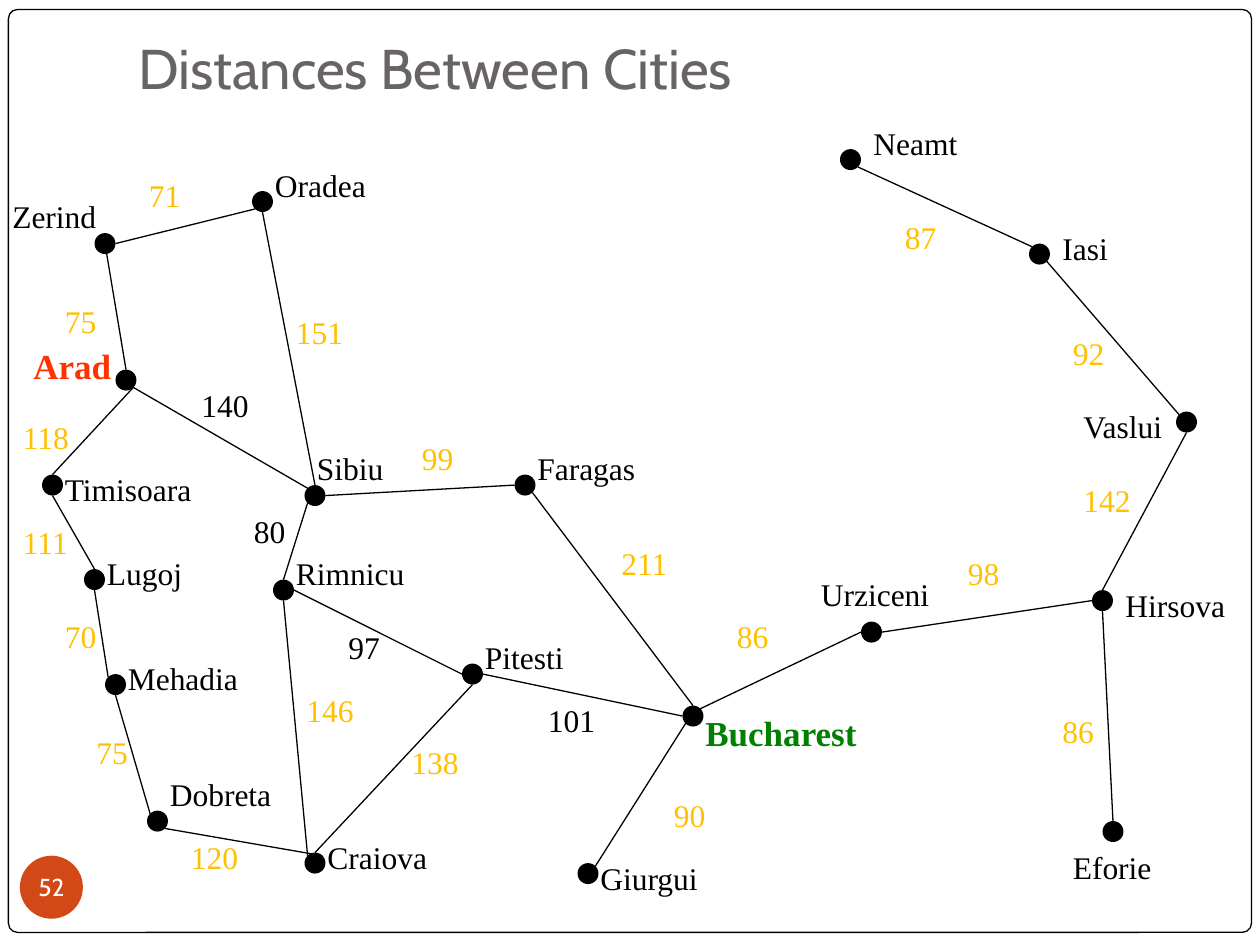
import pptx
import pptx.util
from lxml import etree
from pptx.dml.color import RGBColor
from pptx.enum.shapes import MSO_CONNECTOR, MSO_SHAPE
from pptx.enum.text import MSO_ANCHOR, MSO_AUTO_SIZE, PP_ALIGN
from pptx.oxml.ns import qn

PX = 7620  # EMU per px, 120 px to the inch
BLACK = RGBColor(0x00, 0x00, 0x00)
WHITE = RGBColor(0xFF, 0xFF, 0xFF)
GRAY = RGBColor(0x69, 0x64, 0x64)
RUST = RGBColor(0xD3, 0x48, 0x17)
GOLD = RGBColor(0xFF, 0xC0, 0x00)
RED = RGBColor(0xFF, 0x33, 0x00)
GREEN = RGBColor(0x00, 0x80, 0x00)
SANS = "Cabin"
SERIF = "Times New Roman"

DOT = 20
# Where a road meets a dot, as an offset from its centre
SITES = {
    "C": (0, 0), "N": (0, -10), "S": (0, 10), "E": (10, 0), "W": (-10, 0),
    "NE": (7, -7), "NW": (-7, -7), "SE": (7, 7), "SW": (-7, 7),
}
# City: dot centre, then left, top and width of its label
CITIES = {
    "Neamt": (810, 152, 820, 112, 150),
    "Iasi": (990, 242, 1000, 212, 150),
    "Vaslui": (1130, 402, 1020, 382, 110),
    "Hirsova": (1050, 572, 1060, 552, 120),
    "Eforie": (1060, 792, 1010, 802, 120),
    "Urziceni": (830, 602, 770, 542, 140),
    "Giurgui": (560, 832, 560, 812, 130),
    "Bucharest": (660, 682, 660, 672, 170),
    "Faragas": (500, 462, 500, 422, 130),
    "Pitesti": (450, 642, 450, 602, 110),
    "Rimnicu": (270, 562, 270, 522, 220),
    "Sibiu": (300, 472, 290, 422, 110),
    "Oradea": (250, 192, 250, 152, 150),
    "Zerind": (100, 232, 0, 182, 120),
    "Arad": (120, 362, 20, 322, 100),
    "Timisoara": (50, 462, 50, 442, 150),
    "Lugoj": (90, 552, 90, 522, 120),
    "Mehadia": (110, 652, 110, 622, 130),
    "Dobreta": (150, 782, 150, 732, 130),
    "Craiova": (300, 822, 300, 792, 140),
}
ENDS = {"Arad": RED, "Bucharest": GREEN}
# City and site, city and site, distance, left and top of the label
ROADS = [
    ("Neamt", "SE", "Iasi", "NW", 87, 850, 202),
    ("Iasi", "SE", "Vaslui", "NW", 92, 1010, 312),
    ("Vaslui", "S", "Hirsova", "N", 142, 1020, 452),
    ("Hirsova", "S", "Eforie", "N", 86, 1000, 672),
    ("Urziceni", "E", "Hirsova", "W", 98, 910, 522),
    ("Bucharest", "NE", "Urziceni", "W", 86, 690, 582),
    ("Giurgui", "NE", "Bucharest", "SW", 90, 630, 752),
    ("Faragas", "SE", "Bucharest", "N", 211, 580, 512),
    ("Sibiu", "E", "Faragas", "W", 99, 390, 412),
    ("Sibiu", "N", "Oradea", "S", 151, 270, 292),
    ("Zerind", "E", "Oradea", "SW", 71, 130, 162),
    ("Zerind", "C", "Arad", "N", 75, 50, 282),
    ("Arad", "SE", "Timisoara", "N", 118, 10, 392),
    ("Timisoara", "S", "Lugoj", "N", 111, 10, 492),
    ("Lugoj", "S", "Mehadia", "NW", 70, 50, 582),
    ("Mehadia", "S", "Dobreta", "NW", 75, 80, 692),
    ("Dobreta", "SE", "Craiova", "NE", 120, 170, 792),
    ("Craiova", "N", "Pitesti", "S", 138, 380, 702),
    ("Craiova", "NW", "Rimnicu", "S", 146, 280, 652),
    ("Arad", "SE", "Sibiu", "NW", 140, 180, 362),
    ("Sibiu", "SW", "Rimnicu", "N", 80, 230, 482),
    ("Rimnicu", "E", "Pitesti", "W", 97, 320, 592),
    ("Pitesti", "E", "Bucharest", "W", 101, 510, 662),
]
# Distances on the best route
ROUTE = {140, 80, 97, 101}


def scale(*sides):
    return [side * PX for side in sides]


def add_run(para, text, size, font, color, bold=False):
    run = para.add_run()
    run.text = text
    run.font.size = pptx.util.Pt(size)
    run.font.name = font
    run.font.bold = bold
    run.font.color.rgb = color


def add_shape(slide, kind, box, fill, line=None):
    shape = slide.shapes.add_shape(kind, *scale(*box))
    shape.shadow.inherit = False
    shape.fill.solid()
    shape.fill.fore_color.rgb = fill
    if line is None:
        shape.line.fill.background()
    else:
        shape.line.color.rgb = line
        shape.line.width = pptx.util.Pt(0.75)
    return shape


def add_label(slide, text, box, color, size=18, bold=False):
    frame = slide.shapes.add_textbox(*scale(*box)).text_frame
    frame.word_wrap = True
    add_run(frame.paragraphs[0], text, size, SERIF, color, bold)


def find_site(city, site):
    x, y = CITIES[city][:2]
    dx, dy = SITES[site]
    return x + dx, y + dy


def add_road(slide, start, end):
    road = slide.shapes.add_connector(
        MSO_CONNECTOR.STRAIGHT, *scale(*start, *end))
    road.line.color.rgb = BLACK
    road.line.width = pptx.util.Pt(0.75)
    etree.SubElement(road._element.spPr, qn("a:effectLst"))


def add_city(slide, name):
    x, y, left, top, width = CITIES[name]
    half = DOT // 2
    add_shape(slide, MSO_SHAPE.OVAL, (x - half, y - half, DOT, DOT), BLACK)
    if name in ENDS:
        add_label(slide, name, (left, top, width, 52), ENDS[name], 20, True)
    else:
        add_label(slide, name, (left, top, width, 48), BLACK)


def set_title(slide, text):
    title = slide.shapes.title
    title.left, title.top, title.width, title.height = scale(
        120, 26, 1020, 150)
    frame = title.text_frame
    frame.auto_size = MSO_AUTO_SIZE.NONE
    frame.vertical_anchor = MSO_ANCHOR.TOP
    para = frame.paragraphs[0]
    para.alignment = PP_ALIGN.LEFT
    add_run(para, text, 32, SANS, GRAY)


def add_badge(slide, text):
    badge = add_shape(slide, MSO_SHAPE.OVAL, (19, 815, 60, 60), RUST)
    frame = badge.text_frame
    frame.margin_left = frame.margin_right = 0
    frame.margin_top = frame.margin_bottom = 0
    frame.vertical_anchor = MSO_ANCHOR.MIDDLE
    para = frame.paragraphs[0]
    para.alignment = PP_ALIGN.CENTER
    add_run(para, text, 14, SANS, WHITE)


def add_border(slide):
    """Add the rounded page border behind everything else."""
    border = add_shape(slide, MSO_SHAPE.ROUNDED_RECTANGLE,
                       (8, 9, 1184, 879), WHITE, BLACK)
    border.adjustments[0] = 0.01
    tree = slide.shapes._spTree
    tree.remove(border._element)
    tree.insert(2, border._element)


def main():
    deck = pptx.Presentation()
    deck.slide_width, deck.slide_height = scale(1200, 900)
    slide = deck.slides.add_slide(deck.slide_layouts[5])
    add_border(slide)
    set_title(slide, "Distances Between Cities")
    add_badge(slide, "52")
    for city, site, goal, gate, *_ in ROADS:
        add_road(slide, find_site(city, site), find_site(goal, gate))
    for name in CITIES:
        add_city(slide, name)
    for *_, miles, left, top in ROADS:
        width = 60 if miles < 100 else 80
        color = BLACK if miles in ROUTE else GOLD
        add_label(slide, str(miles), (left, top, width, 48), color)
    deck.save("out.pptx")


if __name__ == "__main__":
    main()
